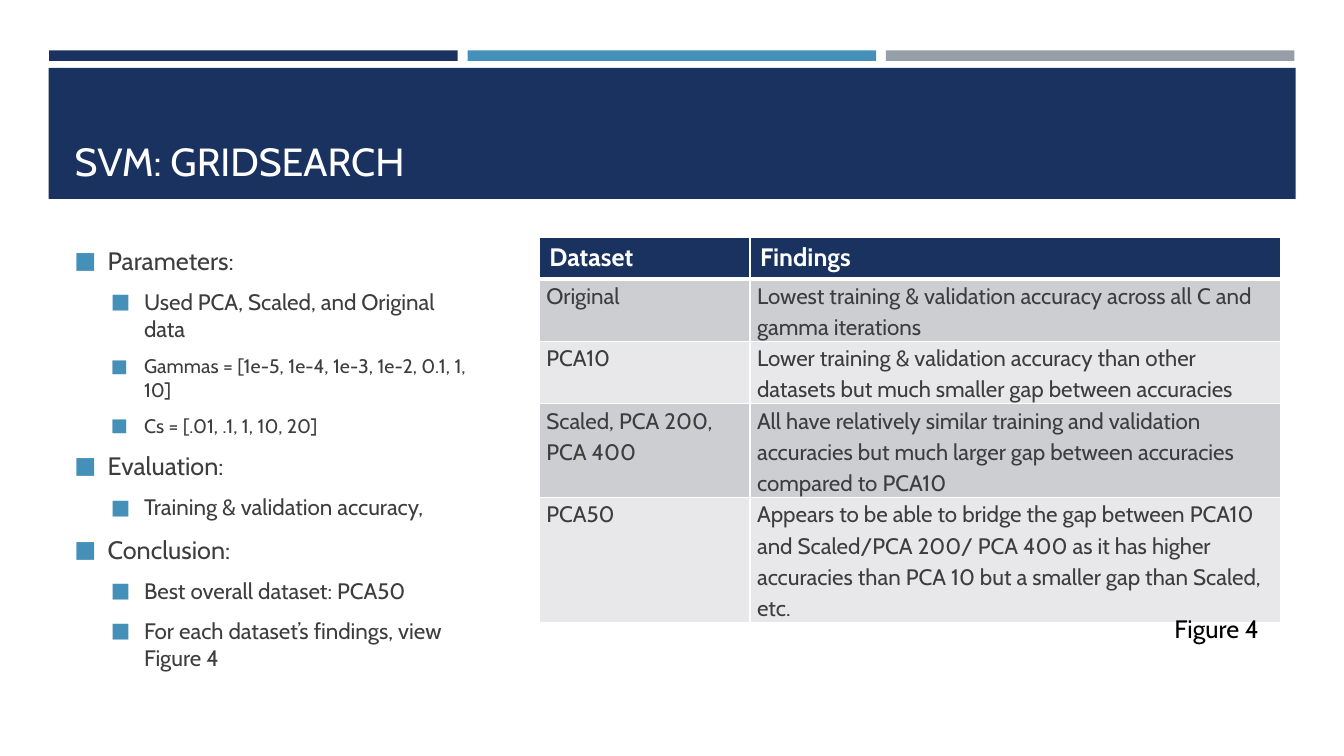
from lxml import etree
from pptx import Presentation
from pptx.dml.color import RGBColor
from pptx.enum.shapes import MSO_SHAPE
from pptx.enum.text import MSO_ANCHOR, MSO_AUTO_SIZE, PP_ALIGN
from pptx.oxml.ns import qn
from pptx.util import Inches, Pt

RECTANGLE = MSO_SHAPE.RECTANGLE
BOTTOM, TOP = MSO_ANCHOR.BOTTOM, MSO_ANCHOR.TOP
LEFT = PP_ALIGN.LEFT
NO_AUTOFIT = MSO_AUTO_SIZE.NONE

WIDTH, HEIGHT = Inches(13.33), Inches(7.5)
FONT = "Cabin"
COLORS = {
    "navy": "1A3260", "blue": "4590B8", "gray": "969FA7", "white": "FFFFFF",
    "text": "3D3D3D", "black": "000000", "dark_band": "CDCED2", "light_band": "E8E8EA",
}
LINE_HEIGHT = 0.31
BULLET_HANGING = 0.33
BULLETS = [
    (0, 18, "Parameters:"),
    (1, 16, "Used PCA, Scaled, and Original data"),
    (1, 14, "Gammas = [1e-5, 1e-4, 1e-3, 1e-2, 0.1, 1, 10]"),
    (1, 14, "Cs = [.01, .1, 1, 10, 20]"),
    (0, 18, "Evaluation:"),
    (1, 16, "Training & validation accuracy,"),
    (0, 18, "Conclusion:"),
    (1, 16, "Best overall dataset: PCA50"),
    (1, 16, "For each dataset’s findings, view Figure 4"),
]
FINDINGS = [
    ("Original", "Lowest training & validation accuracy across all C and gamma iterations", 2),
    ("PCA10", "Lower training & validation accuracy than other datasets but much smaller "
              "gap between accuracies", 2),
    ("Scaled, PCA 200, PCA 400", "All have relatively similar training and validation accuracies "
                                 "but much larger gap between accuracies compared to PCA10", 3),
    ("PCA50", "Appears to be able to bridge the gap between PCA10 and Scaled/PCA 200/ PCA 400 "
              "as it has higher accuracies than PCA 10 but a smaller gap than Scaled, etc.", 4),
]


def color(name):
    """Return the named colour."""
    return RGBColor.from_string(COLORS[name])


def area(left, top, width, height):
    """Turn percentages of the slide into lengths."""
    return (int(WIDTH * left / 100), int(HEIGHT * top / 100),
            int(WIDTH * width / 100), int(HEIGHT * height / 100))


def apply(target, values):
    """Set each attribute in a dict of format values."""
    for name, value in values.items():
        setattr(target, name, value)


def write(paragraph, text, size, fill, bold=False, **spacing):
    """Write one formatted paragraph."""
    paragraph.text = text
    apply(paragraph, {"alignment": LEFT, **spacing})
    apply(paragraph.runs[0].font, {"name": FONT, "size": Pt(size), "bold": bold})
    paragraph.runs[0].font.color.rgb = color(fill)


def add_bar(slide, fill, *shares):
    """Add a plain filled rectangle."""
    bar = slide.shapes.add_shape(RECTANGLE, *area(*shares))
    bar.shadow.inherit = False
    bar.fill.solid()
    bar.fill.fore_color.rgb = color(fill)
    bar.line.fill.background()


def add_text_box(slide, *shares):
    """Add a wrapping text box and return its text frame."""
    frame = slide.shapes.add_textbox(*area(*shares)).text_frame
    frame.word_wrap = True
    return frame


def set_title(slide, text, *shares):
    """Place the title in front of its banner."""
    title = slide.shapes.title
    title.element.getparent().append(title.element)
    names = ("left", "top", "width", "height")
    apply(title, dict(zip(names, area(*shares))))
    apply(title.text_frame, {"vertical_anchor": BOTTOM, "word_wrap": True,
                             "auto_size": NO_AUTOFIT})
    write(title.text_frame.paragraphs[0], text, 28, "white")


def set_bullet(paragraph, level):
    """Give a paragraph a coloured square bullet with a hanging indent."""
    properties = paragraph._p.get_or_add_pPr()
    indent = BULLET_HANGING + 0.36 * level
    properties.set("lvl", str(level))
    properties.set("marL", str(Inches(indent)))
    properties.set("indent", str(-Inches(BULLET_HANGING)))
    bullet_color = etree.SubElement(properties, qn("a:buClr"))
    etree.SubElement(bullet_color, qn("a:srgbClr"), val=COLORS["blue"])
    etree.SubElement(properties, qn("a:buSzPct"), val="92000")
    etree.SubElement(properties, qn("a:buFont"), typeface=FONT)
    etree.SubElement(properties, qn("a:buChar"), char="■")


def add_bullets(slide, bullets, *shares):
    """Add the two-level bullet list."""
    frame = add_text_box(slide, *shares)
    for index, (level, size, text) in enumerate(bullets):
        paragraph = frame.add_paragraph() if index else frame.paragraphs[0]
        set_bullet(paragraph, level)
        write(paragraph, text, size, "text",
              space_before=Pt(0.2 * size if index else 0), space_after=Pt(6))


def format_cell(cell, fill, bottom_width):
    """Draw white borders and fill a table cell."""
    properties = cell._tc.get_or_add_tcPr()
    for side, width in (("L", 1), ("R", 1), ("T", 1), ("B", bottom_width)):
        border = etree.SubElement(properties, qn(f"a:ln{side}"), w=str(Pt(width)))
        solid = etree.SubElement(border, qn("a:solidFill"))
        etree.SubElement(solid, qn("a:srgbClr"), val=COLORS["white"])
    cell.fill.solid()
    cell.fill.fore_color.rgb = color(fill)


def add_findings_table(slide, header, findings, *shares):
    """Add the banded table of findings per dataset."""
    table = slide.shapes.add_table(len(findings) + 1, len(header), *area(*shares)).table
    for column, width in zip(table.columns, (2.09, 5.26)):
        column.width = Inches(width)
    table.rows[0].height = Inches(0.41)
    for cell, text in zip(table.rows[0].cells, header):
        format_cell(cell, "navy", 3)
        write(cell.text_frame.paragraphs[0], text, 18, "white", bold=True)
    margins = {"margin_left": Inches(0.07), "margin_right": Inches(0.07),
               "margin_top": 0, "margin_bottom": 0, "vertical_anchor": TOP}
    for index, (*texts, lines) in enumerate(findings):
        row = table.rows[index + 1]
        row.height = Inches(LINE_HEIGHT * lines)
        for cell, text in zip(row.cells, texts):
            apply(cell, margins)
            format_cell(cell, "light_band" if index % 2 else "dark_band", 1)
            write(cell.text_frame.paragraphs[0], text, 16, "text",
                  line_spacing=1.15, space_after=Pt(8))


def main():
    """Build and save the slide."""
    presentation = Presentation()
    apply(presentation, {"slide_width": WIDTH, "slide_height": HEIGHT})
    slide = presentation.slides.add_slide(presentation.slide_layouts[5])
    for index, fill in enumerate(("navy", "blue", "gray")):
        add_bar(slide, fill, 3.66 + 31.13 * index, 6.67, 30.4, 1.4)
    add_bar(slide, "navy", 3.63, 8.97, 92.77, 17.33)
    set_title(slide, "SVM: GRIDSEARCH", 4.8, 10.27, 90.47, 14.8)
    add_bullets(slide, BULLETS, 4.8, 31.73, 31.73, 66.27)
    add_findings_table(slide, ("Dataset", "Findings"), FINDINGS, 40.13, 31.4, 55.14, 49.07)
    caption = add_text_box(slide, 86.65, 80.53, 9.9, 5.33)
    write(caption.paragraphs[0], "Figure 4", 18, "black")
    presentation.save("out.pptx")


if __name__ == "__main__":
    main()
